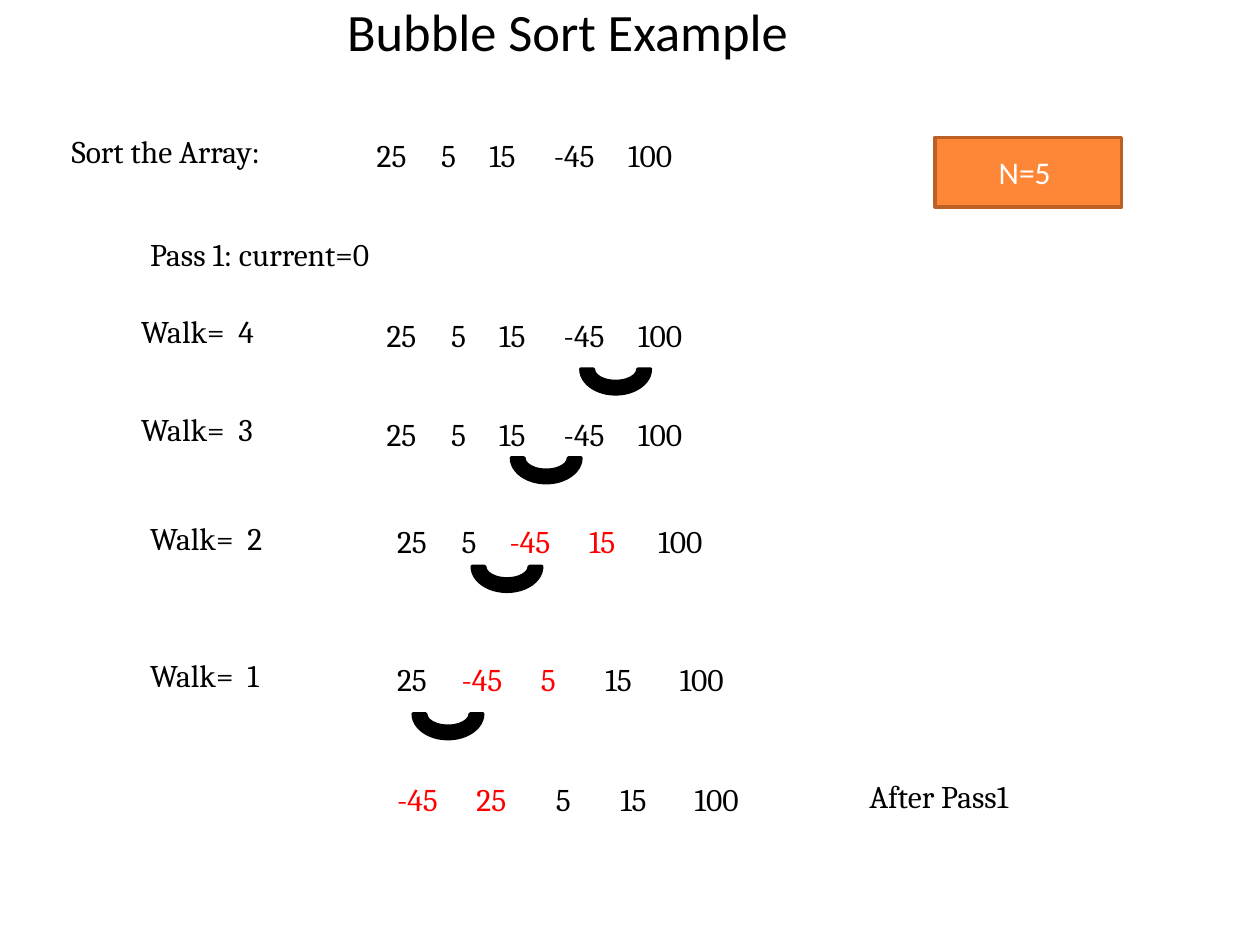
from pptx import Presentation
from pptx.dml.color import RGBColor
from pptx.enum.shapes import MSO_SHAPE
from pptx.enum.text import MSO_ANCHOR, MSO_AUTO_SIZE, PP_ALIGN
from pptx.util import Cm, Pt

ARC, RECTANGLE = MSO_SHAPE.BLOCK_ARC, MSO_SHAPE.RECTANGLE
TOP, MIDDLE = MSO_ANCHOR.TOP, MSO_ANCHOR.MIDDLE
CENTER = PP_ALIGN.CENTER
BLACK, RED, WHITE = "000000", "FF0000", "FFFFFF"
ORANGE, BROWN = "FE8637", "BB6126"

# Content (lengths in cm)
TITLE = "Bubble Sort Example "
COUNT = "N=5 "
START = [25, 5, 15, -45, 100]
START_WIDTHS = [1.3, 0.97, 1.3, 1.5, 2.29]
LABELS = [  # text, left, top, width
    ("Sort the Array:", 1.19, 2.59, 5.56),
    ("Pass 1: current=0", 2.77, 4.67, 7.75),
    ("Walk=  4", 2.59, 6.22, 4.37),
    ("Walk=  3", 2.59, 8.2, 4.37),
    ("Walk=  2", 2.77, 10.39, 4.37),
    ("Walk=  1", 2.77, 13.16, 4.37),
    ("After Pass1", 17.27, 15.6, 4.37),
]
ARRAYS = [  # values, swapped positions, left, top, column widths
    (START, (), 7.34, 2.67, START_WIDTHS),
    (START, (), 7.54, 6.3, START_WIDTHS),
    (START, (), 7.54, 8.3, START_WIDTHS),
    ([25, 5, -45, 15, 100], (2, 3), 7.75, 10.46, [1.3, 0.97, 1.6, 1.4, 2.29]),
    ([25, -45, 5, 15, 100], (1, 2), 7.75, 13.25, [1.3, 1.6, 1.3, 1.5, 2.29]),
    ([-45, 25, 5, 15, 100], (0, 1), 7.75, 15.65, [1.6, 1.6, 1.3, 1.5, 2.29]),
]
COMPARISONS = [(11.71, 6.94), (10.31, 8.73), (9.52, 10.92), (8.33, 13.89)]
ARC_SIZE = (1.4, 1.0)
LABEL_HEIGHT, ARRAY_HEIGHT = 1.09, 1.04


def color(value):
    return RGBColor.from_string(value)


def add_text(paragraph, text, size, font, ink):
    span = paragraph.add_run()
    span.text = text
    span.font.size = Pt(size)
    span.font.name = font
    span.font.color.rgb = color(ink)


def add_row(page, texts, inks, left, top, widths, height):
    frame = page.shapes.add_table(1, len(texts), Cm(left), Cm(top),
                                  Cm(sum(widths)), Cm(height))
    table = frame.table
    table.first_row = False
    table.horz_banding = False
    table.rows[0].height = Cm(height)
    for index, (text, ink, width) in enumerate(zip(texts, inks, widths)):
        table.columns[index].width = Cm(width)
        cell = table.cell(0, index)
        cell.fill.background()
        add_text(cell.text_frame.paragraphs[0], text, 18, "Cambria", ink)


def add_block(page, kind, left, top, width, height, fill, line):
    block = page.shapes.add_shape(kind, Cm(left), Cm(top), Cm(width), Cm(height))
    block.shadow.inherit = False
    block.fill.solid()
    block.fill.fore_color.rgb = color(fill)
    block.line.color.rgb = color(line)
    block.line.width = Pt(2)
    return block


deck = Presentation()
deck.slide_width, deck.slide_height = Cm(25.4), Cm(19.05)
page = deck.slides.add_slide(deck.slide_layouts[5])

# Title
title = page.shapes.title
title.left, title.top, title.width, title.height = Cm(1.19), Cm(0), Cm(20.75), Cm(1.63)
title.text_frame.auto_size = MSO_AUTO_SIZE.NONE
title.text_frame.vertical_anchor = TOP
heading = title.text_frame.paragraphs[0]
heading.alignment = CENTER
heading.line_spacing = 0.9
add_text(heading, TITLE, 30, "Calibri", BLACK)

# Labels and array states
for text, left, top, width in LABELS:
    add_row(page, [text], [BLACK], left, top, [width], LABEL_HEIGHT)
for values, swapped, left, top, widths in ARRAYS:
    inks = [RED if index in swapped else BLACK for index in range(len(values))]
    add_row(page, [str(value) for value in values], inks, left, top, widths, ARRAY_HEIGHT)

# Element count
box = add_block(page, RECTANGLE, 18.85, 2.77, 3.76, 1.4, ORANGE, BROWN)
box.text_frame.vertical_anchor = MIDDLE
box.text_frame.paragraphs[0].alignment = CENTER
add_text(box.text_frame.paragraphs[0], COUNT, 18, "Calibri", WHITE)

# Arcs under the compared pairs
for left, top in COMPARISONS:
    arc = add_block(page, ARC, left, top, *ARC_SIZE, BLACK, BLACK)
    arc.rotation = 180

deck.save("out.pptx")
